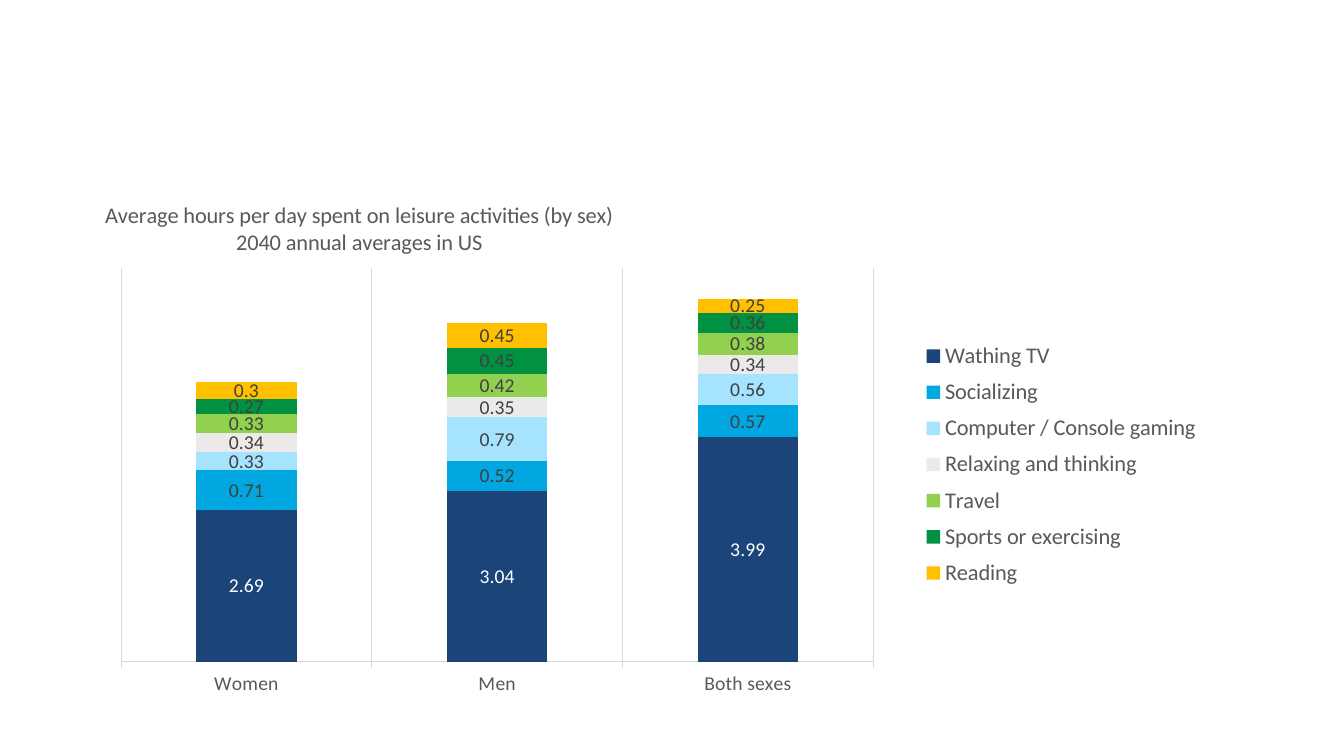
from dataclasses import dataclass

from lxml import etree
from pptx import Presentation
from pptx.chart.data import CategoryChartData
from pptx.dml.color import RGBColor
from pptx.enum.chart import (XL_CHART_TYPE, XL_LABEL_POSITION,
                             XL_LEGEND_POSITION, XL_TICK_MARK)
from pptx.enum.text import PP_ALIGN
from pptx.oxml.ns import qn
from pptx.util import Inches, Pt

STACKED = XL_CHART_TYPE.COLUMN_STACKED
CENTER = XL_LABEL_POSITION.CENTER
BOTTOM = XL_LEGEND_POSITION.BOTTOM
OUTSIDE = XL_TICK_MARK.OUTSIDE

TITLE = ["Average hours per day spent on leisure activities (by sex)",
         "2040 annual averages in US"]
GROUPS = ["Both sexes", "Men", "Women"]
# activity, hours per group, fill colour, label colour
HOURS = [
    ("Wathing TV", (3.99, 3.04, 2.69), "navy", "white"),
    ("Socializing", (0.57, 0.52, 0.71), "blue", "dark"),
    ("Computer / Console gaming", (0.56, 0.79, 0.33), "sky", "dark"),
    ("Relaxing and thinking", (0.34, 0.35, 0.34), "pale", "dark"),
    ("Travel", (0.38, 0.42, 0.33), "lime", "dark"),
    ("Sports or exercising", (0.36, 0.45, 0.27), "green", "dark"),
    ("Reading", (0.25, 0.45, 0.3), "gold", "dark"),
]
MAX_HOURS = 7

SLIDE = (13.33, 7.5)
FRAME = (0.98, 1.91, 11.1, 5)
# shares of the chart's own size: x, y, width, height
PLOT = dict(x=0.02, y=0.15, w=0.672, h=0.781)
LEGEND = dict(x=0.73, y=0.28, w=0.26, h=0.52)
HEADING = dict(x=0.003, y=0.01)


@dataclass(frozen=True)
class Theme:
    face: str = "Calibri"
    small: int = 14
    large: int = 16
    hair: float = 0.75
    navy: str = "1B4479"
    blue: str = "00A7E1"
    sky: str = "A6E3FF"
    pale: str = "EBE9E9"
    lime: str = "92D050"
    green: str = "009242"
    gold: str = "FFC000"
    white: str = "FFFFFF"
    dark: str = "404040"
    text: str = "595959"
    rule: str = "D9D9D9"

    def color(self, name):
        return RGBColor.from_string(getattr(self, name))


THEME = Theme()


def set_font(font, size, color):
    font.name = THEME.face
    font.size = Pt(size)
    font.bold = False
    font.color.rgb = THEME.color(color)


def set_line(line):
    line.width = Pt(THEME.hair)
    line.color.rgb = THEME.color("rule")


def place(chart, tag, at, index, inner=False):
    """Give a chart part a manual layout, as its child number index."""
    part = chart._chartSpace.find(".//" + qn(tag))
    for old in part.findall(qn("c:layout")):
        part.remove(old)
    layout = etree.Element(qn("c:layout"))
    manual = etree.SubElement(layout, qn("c:manualLayout"))
    items = [("layoutTarget", "inner")] if inner else []
    items += [(key + "Mode", "edge") for key in "xy"]
    items += [(key, str(share)) for key, share in at.items()]
    for name, value in items:
        etree.SubElement(manual, qn("c:" + name)).set("val", value)
    part.insert(index, layout)


def add_title(chart):
    chart.has_title = True
    chart.chart_title.include_in_layout = False
    frame = chart.chart_title.text_frame
    frame.text = "\n".join(TITLE)
    for para in frame.paragraphs:
        para.alignment = PP_ALIGN.CENTER
        set_font(para.font, THEME.large, "text")
    place(chart, "c:title", HEADING, 1)


def add_legend(chart):
    chart.has_legend = True
    chart.legend.position = BOTTOM
    chart.legend.include_in_layout = False
    set_font(chart.legend.font, THEME.large, "text")
    place(chart, "c:legend", LEGEND, 1)


def style_axes(chart):
    groups, hours = chart.category_axis, chart.value_axis
    groups.reverse_order = True
    groups.major_tick_mark = OUTSIDE
    groups.has_major_gridlines = True
    set_line(groups.major_gridlines.format.line)
    set_line(groups.format.line)
    set_font(groups.tick_labels.font, THEME.small, "text")
    hours.minimum_scale, hours.maximum_scale = 0, MAX_HOURS
    hours.has_major_gridlines = False
    hours.visible = False


def style_bars(chart):
    plot = chart.plots[0]
    plot.gap_width, plot.overlap = 150, 100
    plot.vary_by_categories = False
    for series, (_, _, fill, ink) in zip(plot.series, HOURS):
        series.format.fill.solid()
        series.format.fill.fore_color.rgb = THEME.color(fill)
        labels = series.data_labels
        labels.show_value = True
        labels.position = CENTER
        set_font(labels.font, THEME.small, ink)


def main():
    deck = Presentation()
    deck.slide_width, deck.slide_height = map(Inches, SLIDE)
    slide = deck.slides.add_slide(deck.slide_layouts[6])
    data = CategoryChartData()
    data.categories = GROUPS
    for name, values, _, _ in HOURS:
        data.add_series(name, values)
    chart = slide.shapes.add_chart(STACKED, *map(Inches, FRAME), data).chart
    chart.font.name, chart.font.size = THEME.face, Pt(THEME.small)
    add_title(chart)
    add_legend(chart)
    style_axes(chart)
    style_bars(chart)
    place(chart, "c:plotArea", PLOT, 0, inner=True)
    deck.save("out.pptx")


if __name__ == "__main__":
    main()
